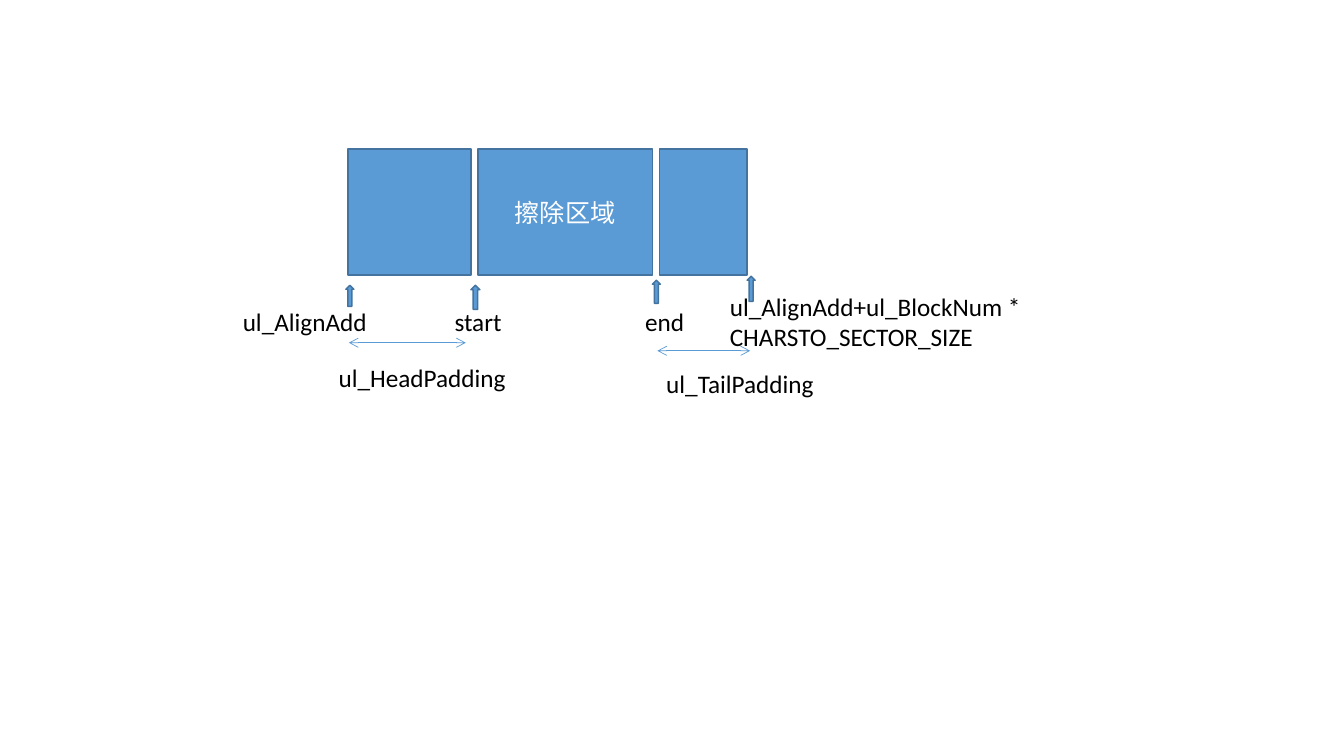
from pptx import Presentation
from pptx.dml.color import RGBColor
from pptx.enum.shapes import MSO_CONNECTOR, MSO_SHAPE
from pptx.enum.text import MSO_ANCHOR, MSO_AUTO_SIZE, PP_ALIGN
from pptx.oxml.ns import qn
from pptx.util import Inches, Pt
from lxml import etree

BLUE, OUTLINE, WHITE, BLACK = "5B9BD5", "43739E", "FFFFFF", "000000"
FONT = "Calibri"

# Content: memory regions (left, width, text)
REGION_TOP, REGION_HEIGHT = 1.48, 1.25
regions = [(3.45, 1.22, ""), (4.74, 1.73, "擦除区域"), (6.54, 0.87, "")]

# Address labels and padding labels (left, top, width, height, text)
labels = [
    (2.31, 2.99, 1.5, 0.4, "ul_AlignAdd"),
    (7.14, 2.84, 3.41, 0.71, "ul_AlignAdd+ul_BlockNum * CHARSTO_SECTOR_SIZE"),
    (4.41, 2.99, 0.7, 0.4, "start"),
    (6.3, 2.99, 0.72, 0.4, "end"),
    (3.26, 3.55, 2.01, 0.4, "ul_HeadPadding"),
    (6.51, 3.6, 1.76, 0.4, "ul_TailPadding"),
]

# Address pointers (left, top, width, height) and padding spans (left, right, y)
pointers = [(3.43, 2.83, 0.08, 0.21), (4.67, 2.83, 0.09, 0.24),
            (6.47, 2.78, 0.08, 0.23), (7.41, 2.74, 0.08, 0.25)]
spans = [(3.46, 4.62, 3.4), (6.52, 7.44, 3.48)]

presentation = Presentation()
presentation.slide_width, presentation.slide_height = Inches(13.33), Inches(7.5)
slide = presentation.slides.add_slide(presentation.slide_layouts[6])


def color(value):
    return RGBColor.from_string(value)


def add_text(paragraph, text, text_color):
    run = paragraph.add_run()
    run.text = text
    run.font.size = Pt(18)
    run.font.name = FONT
    run.font.color.rgb = color(text_color)


def add_block(kind, *box):
    shape = slide.shapes.add_shape(kind, *map(Inches, box))
    shape.shadow.inherit = False
    shape.fill.solid()
    shape.fill.fore_color.rgb = color(BLUE)
    shape.line.color.rgb = color(OUTLINE)
    shape.line.width = Pt(1)
    return shape


def add_label(left, top, width, height, text):
    frame = slide.shapes.add_textbox(*map(Inches, (left, top, width, height))).text_frame
    frame.word_wrap = True
    frame.auto_size = MSO_AUTO_SIZE.SHAPE_TO_FIT_TEXT
    add_text(frame.paragraphs[0], text, BLACK)


def add_span(left, right, y):
    connector = slide.shapes.add_connector(
        MSO_CONNECTOR.STRAIGHT, *map(Inches, (left, y, right, y)))
    connector.line.color.rgb = color(BLUE)
    connector.line.width = Pt(0.5)
    line = connector.line._get_or_add_ln()
    for end in ("a:headEnd", "a:tailEnd"):
        etree.SubElement(line, qn(end), type="arrow")
    etree.SubElement(connector._element.spPr, qn("a:effectLst"))


# Memory regions
for left, width, text in regions:
    region = add_block(MSO_SHAPE.RECTANGLE, left, REGION_TOP, width, REGION_HEIGHT)
    if text:
        region.text_frame.vertical_anchor = MSO_ANCHOR.MIDDLE
        paragraph = region.text_frame.paragraphs[0]
        paragraph.alignment = PP_ALIGN.CENTER
        add_text(paragraph, text, WHITE)

# Pointers, spans and labels
for pointer in pointers:
    add_block(MSO_SHAPE.UP_ARROW, *pointer)
for span in spans:
    add_span(*span)
for label in labels:
    add_label(*label)

presentation.save("out.pptx")
